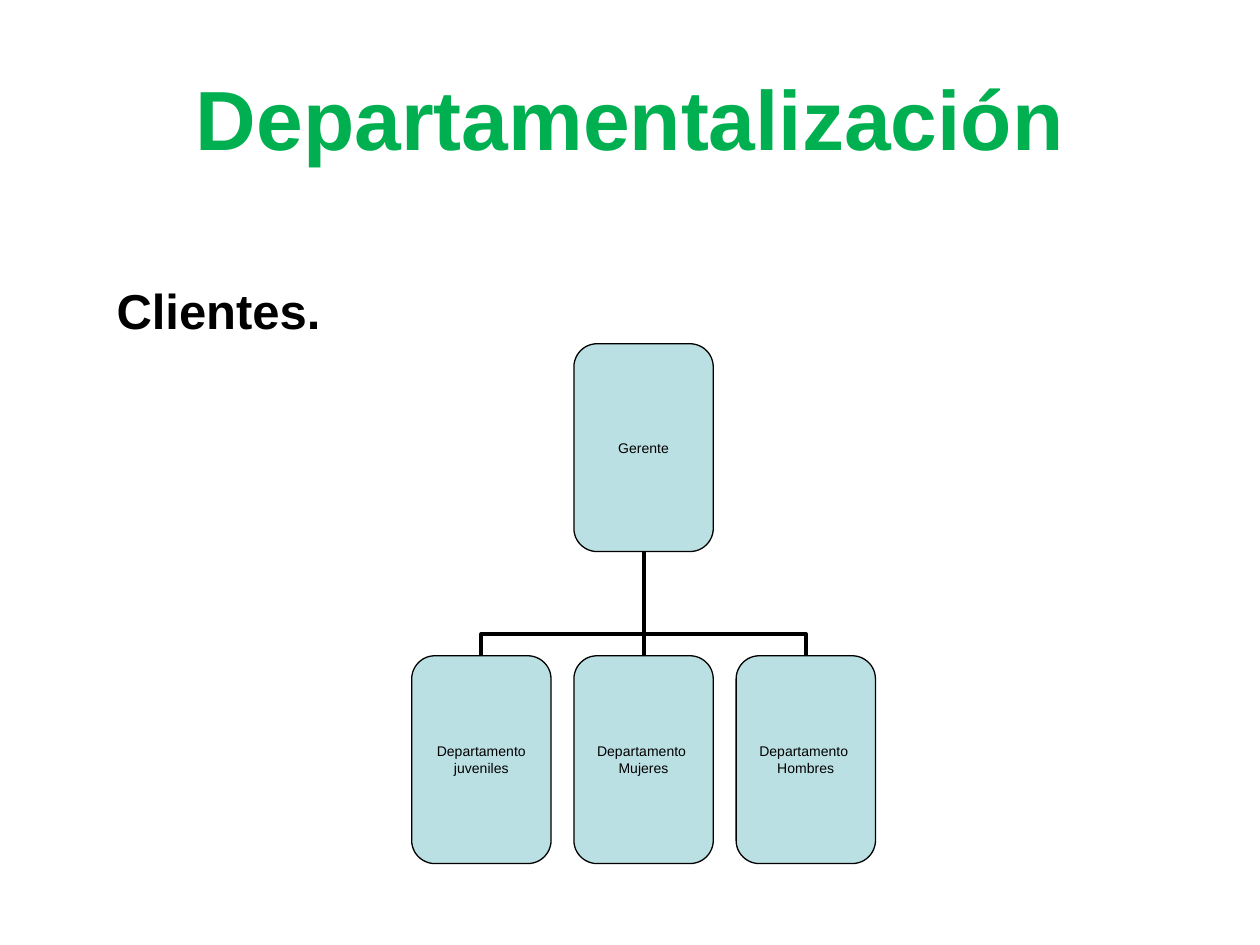
"""Build the slide on departmentalization by customers."""
from lxml import etree
from pptx import Presentation
from pptx.dml.color import RGBColor
from pptx.enum.shapes import MSO_CONNECTOR as CONN, MSO_SHAPE as SHAPE
from pptx.enum.text import MSO_ANCHOR as ANCHOR, PP_ALIGN as ALIGN
from pptx.oxml.ns import qn
from pptx.util import Cm, Pt

COLORS = {"title": "00B050", "text": "000000", "line": "000000", "box": "BBE0E3"}


def write(sp, text, size, color="text", bold=False, align=ALIGN.CENTER,
          anchor=ANCHOR.MIDDLE, wrap=True, inset=(0, 0, 0, 0)):
    tf = sp.text_frame
    tf.word_wrap = wrap
    tf.vertical_anchor = anchor
    tf.margin_left, tf.margin_top, tf.margin_right, tf.margin_bottom = map(Cm, inset)
    for i, line in enumerate(text.split("\n")):
        p = tf.paragraphs[0] if i == 0 else tf.add_paragraph()
        p.alignment = align
        r = p.add_run()
        r.text = line
        r.font.name = "Arial"
        r.font.size = Pt(size)
        r.font.bold = bold
        r.font.color.rgb = RGBColor.from_string(COLORS[color])


def style_line(cx):
    cx.line.color.rgb = RGBColor.from_string(COLORS["line"])
    cx.line.width = Pt(2.25)
    etree.SubElement(cx._element.spPr, qn("a:effectLst"))


prs = Presentation()
prs.slide_width, prs.slide_height = Cm(25.4), Cm(19.05)
s = prs.slides.add_slide(prs.slide_layouts[6])

title = s.shapes.add_textbox(Cm(1.27), Cm(0.76), Cm(22.86), Cm(3.18))
write(title, "Departamentalización", 48, color="title", bold=True)
body = s.shapes.add_textbox(Cm(1.27), Cm(4.45), Cm(11.23), Cm(12.57))
write(body, "Clientes.", 28, bold=True, align=ALIGN.LEFT, anchor=ANCHOR.TOP,
      inset=(1.08, 1.37, 0.25, 0.13))

box_w, box_h, pitch = 2.81, 4.19, 3.27
left, top, row_top = 8.3, 6.93, 13.22
first, middle, last = [left + box_w / 2 + i * pitch for i in range(3)]
bottom = top + box_h
drop = row_top - bottom

for center, turn, flips in [(last, 270, ["flipV"]), (first, 90, ["flipH", "flipV"])]:
    x = (center + middle - drop) / 2
    y = (bottom + row_top - pitch) / 2
    cx = s.shapes.add_connector(CONN.ELBOW, Cm(x), Cm(y), Cm(x + drop), Cm(y + pitch))
    spPr = cx._element.spPr
    xfrm = spPr.find(qn("a:xfrm"))
    xfrm.set("rot", str(turn * 60000))
    for flip in flips:
        xfrm.set(flip, "1")
    guides = spPr.find(qn("a:prstGeom")).find(qn("a:avLst"))
    etree.SubElement(guides, qn("a:gd"), name="adj1", fmla="val 20900")
    style_line(cx)

style_line(s.shapes.add_connector(CONN.STRAIGHT, Cm(middle), Cm(row_top),
                                  Cm(middle), Cm(bottom)))

boxes = [
    (middle, top, "Gerente"),
    (first, row_top, "Departamento\njuveniles"),
    (middle, row_top, "Departamento \nMujeres"),
    (last, row_top, "Departamento \nHombres"),
]
for center, y, text in boxes:
    sp = s.shapes.add_shape(SHAPE.ROUNDED_RECTANGLE, Cm(center - box_w / 2), Cm(y),
                            Cm(box_w), Cm(box_h))
    sp.shadow.inherit = False
    sp.fill.solid()
    sp.fill.fore_color.rgb = RGBColor.from_string(COLORS["box"])
    sp.line.color.rgb = RGBColor.from_string(COLORS["line"])
    sp.line.width = Pt(0.75)
    write(sp, text, 8, wrap=False)

prs.save("out.pptx")
